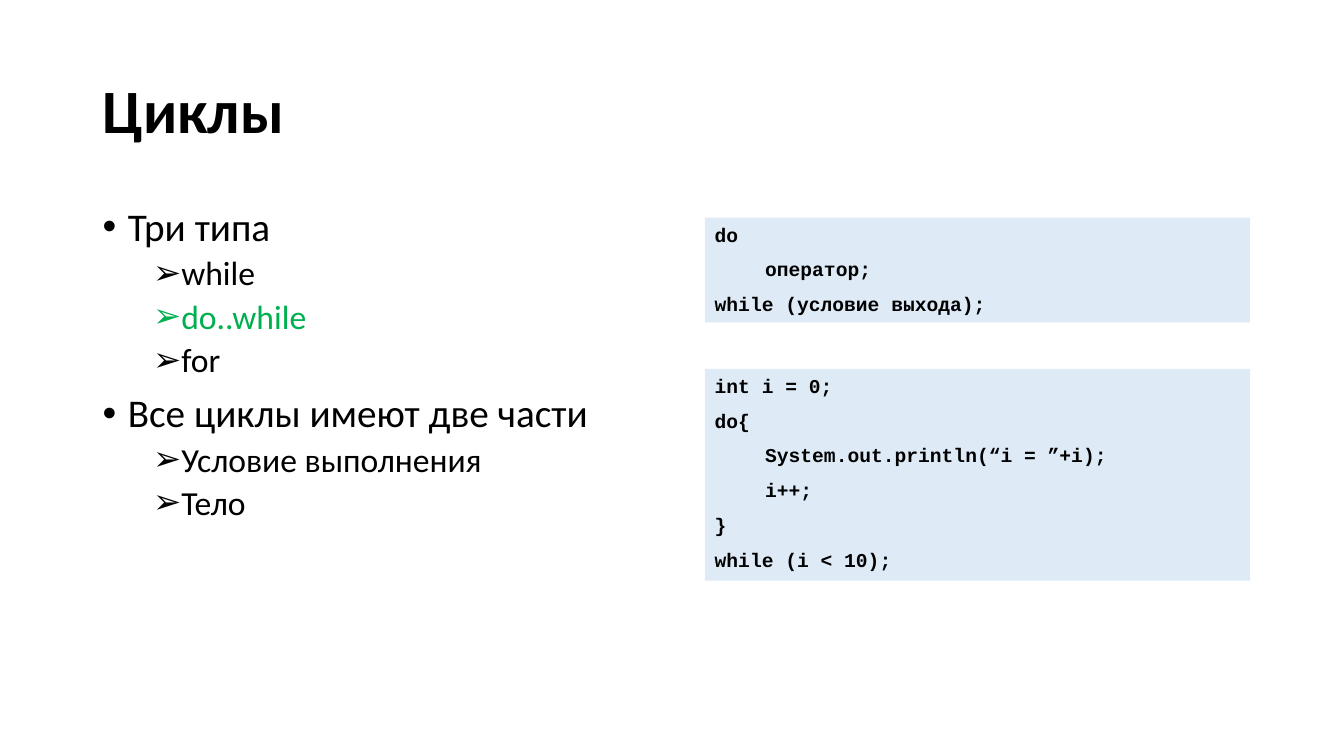
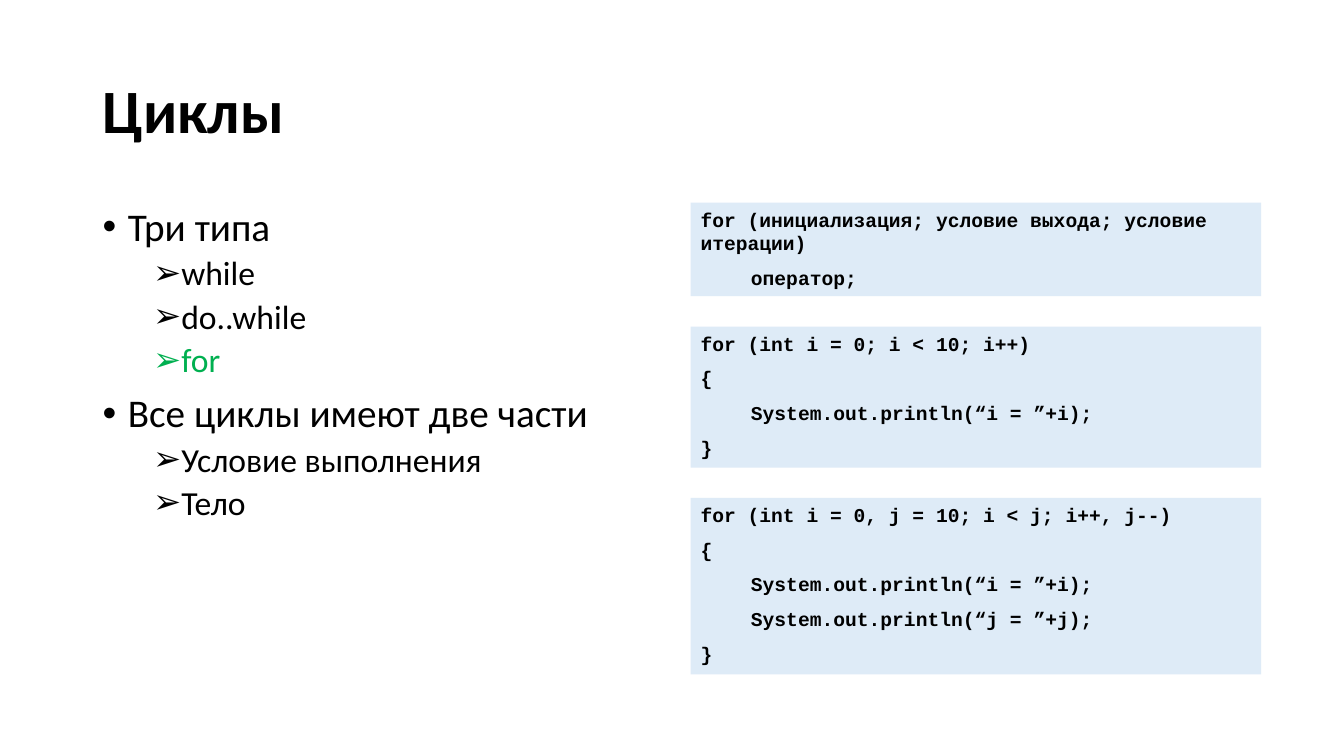
from lxml.etree import SubElement
from pptx import Presentation
from pptx.dml.color import RGBColor
from pptx.enum.shapes import MSO_SHAPE
from pptx.enum.text import MSO_ANCHOR, PP_ALIGN
from pptx.oxml.ns import qn
from pptx.util import Inches, Pt

BLACK, GREEN, PALE_BLUE = "000000", "00B050", "DEEBF7"
TOPICS = [
    (0, "Три типа"),
    (1, "while"),
    (1, "do..while"),
    (1, "for"),
    (0, "Все циклы имеют две части"),
    (1, "Условие выполнения"),
    (1, "Тело"),
]
LEVELS = [
    {"size": 28, "before": 10, "bullet": "•", "indent": 0.25},
    {"size": 24, "before": 5, "bullet": "➢", "indent": 0.75},
]
DO_WHILE_BLOCKS = [
    (1.04, ["do", "\tоператор;", "while (условие выхода);"]),
    (2.1, ["int i = 0;", "do{", "\tSystem.out.println(“i = ”+i);", "\ti++;", "}",
           "while (i < 10);"]),
]
FOR_BLOCKS = [
    (0.93, ["for (инициализация; условие выхода; условие итерации)", "\tоператор;"]),
    (1.4, ["for (int i = 0; i < 10; i++)", "{", "\tSystem.out.println(“i = ”+i);", "}"]),
    (1.75, ["for (int i = 0, j = 10; i < j; i++, j--)", "{",
            "\tSystem.out.println(“i = ”+i);", "\tSystem.out.println(“j = ”+j);", "}"]),
]


def color(value):
    """Turn a hex string into a colour."""
    return RGBColor.from_string(value)


def write(paragraph, text, size, font="Calibri", fill=BLACK, bold=False,
          before=0, line=1.0, bullet=None, indent=0):
    """Fill a paragraph with formatted text."""
    paragraph.alignment = PP_ALIGN.LEFT
    paragraph.space_before = Pt(before)
    paragraph.line_spacing = line
    if bullet:
        properties = paragraph._p.get_or_add_pPr()
        properties.set("marL", str(Inches(indent)))
        properties.set("indent", str(Inches(-0.25)))
        SubElement(properties, qn("a:buFont"), typeface="Arial")
        SubElement(properties, qn("a:buChar"), char=bullet)
    run = paragraph.add_run()
    run.text = text
    run.font.name = font
    run.font.size = Pt(size)
    run.font.bold = bold
    run.font.color.rgb = color(fill)


class Deck:
    """Hold the shared style and the current slide."""

    def __init__(self):
        """Start an empty widescreen presentation."""
        self.presentation = Presentation()
        self.presentation.slide_width = Inches(13.33)
        self.presentation.slide_height = Inches(7.5)
        self.slide = None

    def add_slide(self, title):
        """Add a blank slide with the shared title."""
        self.slide = self.presentation.slides.add_slide(self.presentation.slide_layouts[6])
        frame = self.text_frame(0.92, 0.4, 11.41, 1.45)
        frame.vertical_anchor = MSO_ANCHOR.MIDDLE
        write(frame.paragraphs[0], title, 44, bold=True, line=0.9)

    def text_frame(self, left, top, width, height):
        """Add a wrapping text box and return its frame."""
        shape = self.slide.shapes.add_textbox(
            Inches(left), Inches(top), Inches(width), Inches(height))
        shape.text_frame.word_wrap = True
        return shape.text_frame

    def topics(self, current):
        """List the topics with the current one highlighted."""
        frame = self.text_frame(0.92, 2.01, 5.09, 4.79)
        for index, (level, text) in enumerate(TOPICS):
            paragraph = frame.add_paragraph() if index else frame.paragraphs[0]
            paragraph.level = level
            write(paragraph, text, fill=GREEN if text == current else BLACK,
                  line=0.9, **LEVELS[level])

    def code_block(self, left, top, width, height, lines):
        """Add a shaded rectangle with lines of code."""
        shape = self.slide.shapes.add_shape(
            MSO_SHAPE.RECTANGLE, Inches(left), Inches(top), Inches(width), Inches(height))
        shape.shadow.inherit = False
        shape.fill.solid()
        shape.fill.fore_color.rgb = color(PALE_BLUE)
        shape.line.fill.background()
        frame = shape.text_frame
        frame.word_wrap = True
        frame.vertical_anchor = MSO_ANCHOR.TOP
        for index, text in enumerate(lines):
            paragraph = frame.add_paragraph() if index else frame.paragraphs[0]
            write(paragraph, text, 14, font="Courier New", bold=True,
                  before=8 if index else 0)

    def code_column(self, blocks, left, top, width, gap):
        """Stack code blocks with equal gaps."""
        for height, lines in blocks:
            self.code_block(left, top, width, height, lines)
            top += height + gap


def main():
    """Build and save both slides."""
    deck = Deck()
    for current, blocks, left, top, width, gap in [
        ("do..while", DO_WHILE_BLOCKS, 6.99, 2.16, 5.41, 0.46),
        ("for", FOR_BLOCKS, 6.85, 2.01, 5.66, 0.3),
    ]:
        deck.add_slide("Циклы")
        deck.topics(current)
        deck.code_column(blocks, left, top, width, gap)
    deck.presentation.save("out.pptx")


if __name__ == "__main__":
    main()
